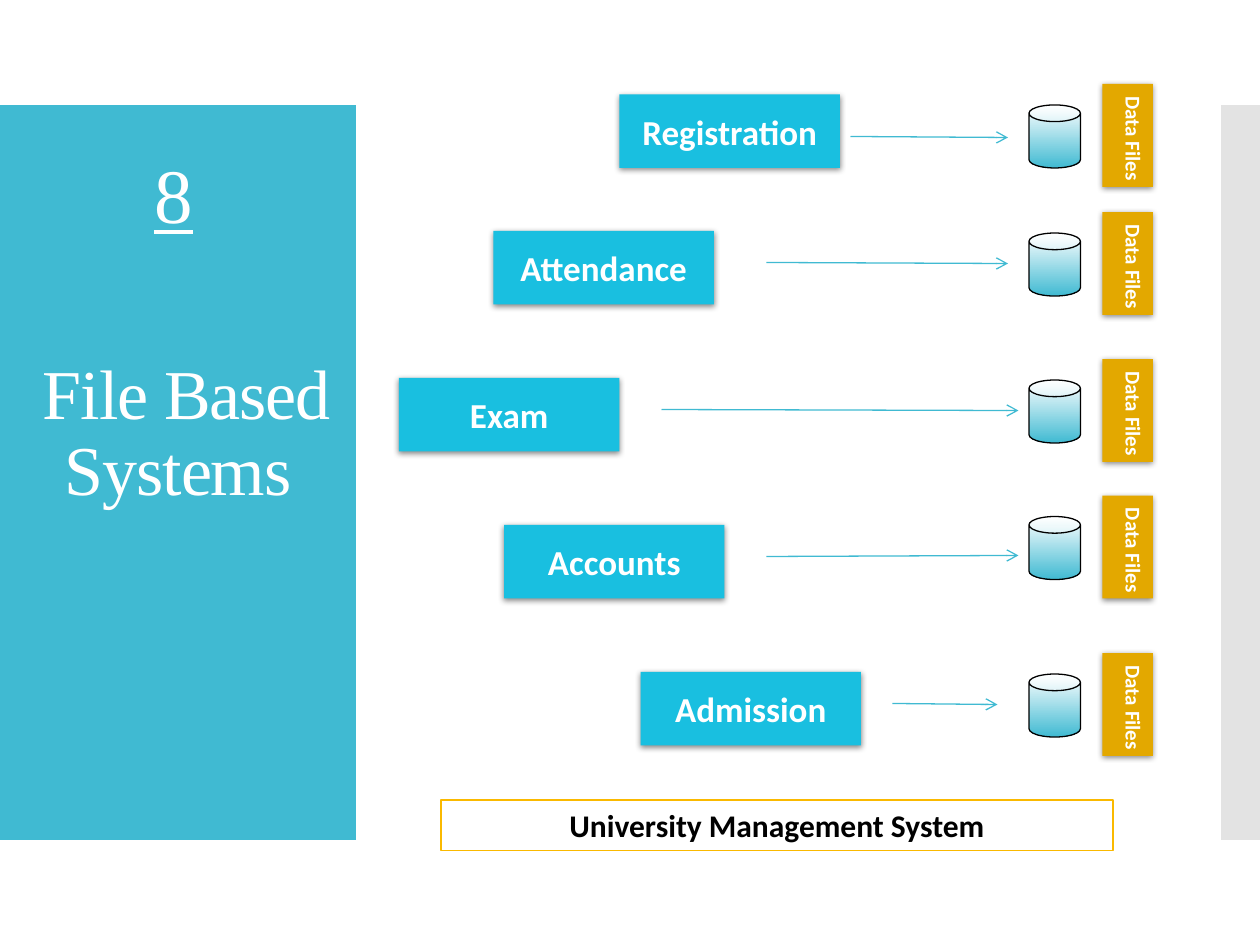
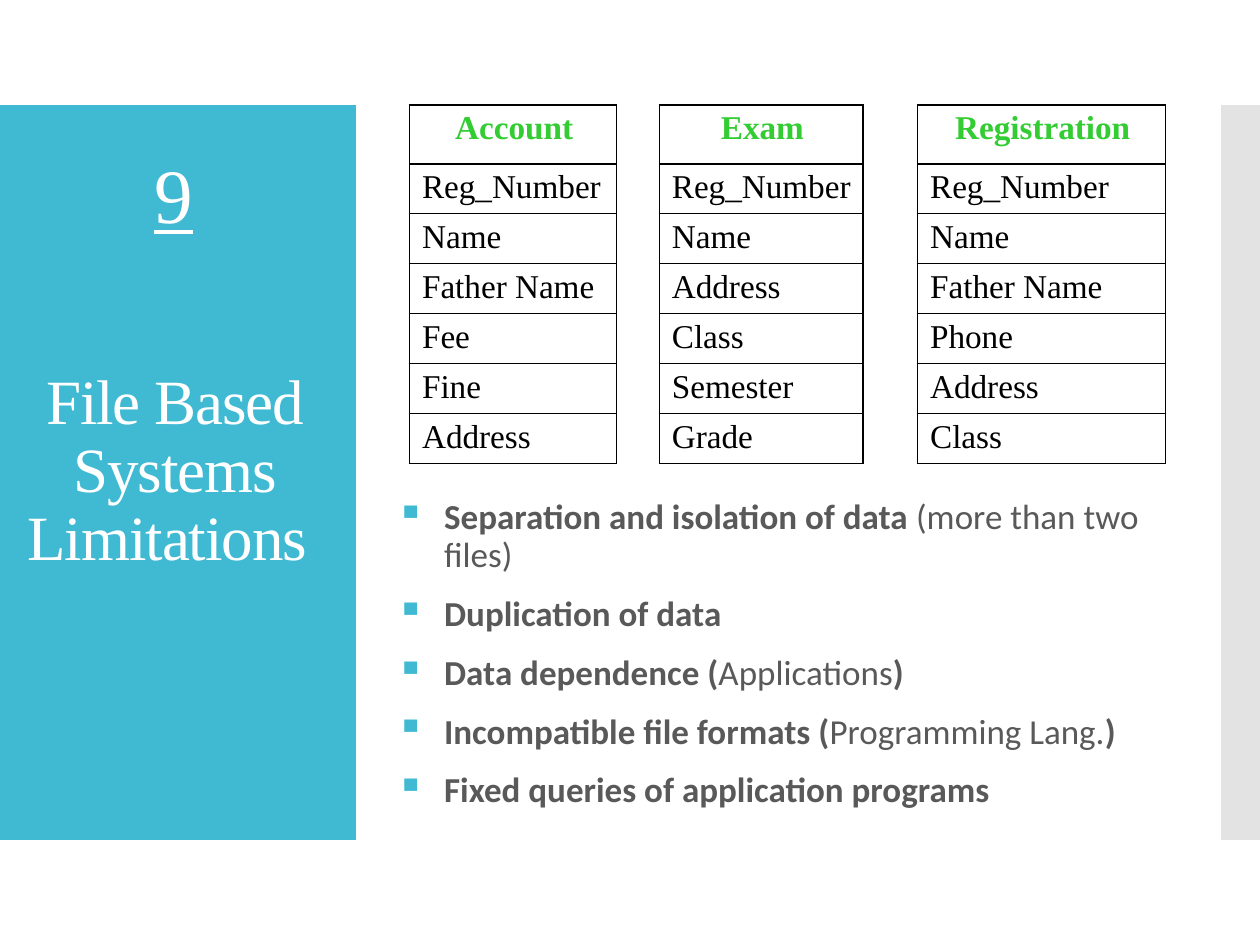
import pptx
import pptx.util
import pptx.dml.color
import pptx.enum.shapes
import pptx.enum.text
import pptx.oxml.ns
import lxml.etree

SHAPE = pptx.enum.shapes.MSO_SHAPE
ALIGN = pptx.enum.text.PP_ALIGN
ANCHOR = pptx.enum.text.MSO_ANCHOR
SERIF, SANS = "Times New Roman", "Calibri"
TEAL, CYAN, GOLD, AMBER = "40BAD2", "19BFE0", "E3A800", "FAB900"
WHITE, BLACK, GREY, PALE, GREEN = "FFFFFF", "000000", "595959", "C8C8C8", "33CC33"
COLS, ROWS, CELL = 120, 90, 1 / 12

HEADS = [
    {"no": "8", "text": "File Based Systems ", "size": 40, "at": (2.5, 11.2)},
    {"no": "9", "text": "File Based Systems Limitations ", "size": 36, "at": (1.4, 14.8)},
]

# fields: name, box left, box top, arrow start, arrow end, arrow row, slope, file top
UNITS = [
    ("Registration", 59, 9, 81, 96, 13, 0.1, 8),
    ("Attendance", 47, 22, 73, 96, 25, 0.1, 20.2),
    ("Exam", 38, 36, 63, 97, 39, 0.1, 34.2),
    ("Accounts", 48, 50, 73, 97, 53, -0.1, 47.2),
    ("Admission", 61, 64, 85, 95, 67, 0.1, 62.2),
]
LABEL = "Data Files"
SYSTEM = "University Management System"

FILES = {
    "Account": ["Reg_Number", "Name", "Father Name", "Fee", "Fine", "Address"],
    "Exam": ["Reg_Number", "Name", "Address", "Class", "Semester", "Grade"],
    "Registration": ["Reg_Number", "Name", "Father Name", "Phone", "Address", "Class"],
}
WIDTHS = [19.7, 4.1, 19.4, 5.2, 23.6]
HEIGHTS = [5.6] + [4.73] * 6

LIMITS = [
    [("Separation and isolation of data ", True), ("(more than two files)", False)],
    [("Duplication of data", True)],
    [("Data dependence (", True), ("Applications", False), (")", True)],
    [("Incompatible file formats (", True), ("Programming Lang.", False), (")", True)],
    [("Fixed queries of application programs", True)],
]


def grid(*nums):
    return [pptx.util.Inches(n * CELL) for n in nums]


def tint(code):
    return pptx.dml.color.RGBColor.from_string(code)


def node(base, tag, **attrs):
    item = lxml.etree.SubElement(base, pptx.oxml.ns.qn("a:" + tag))
    for key, val in attrs.items():
        item.set(key, str(val))
    return item


def write(para, text, size, color, font=SANS, bold=False):
    run = para.add_run()
    run.text = text
    run.font.size = pptx.util.Pt(size)
    run.font.name = font
    run.font.bold = bold
    run.font.color.rgb = tint(color)
    return run


def block(slide, at, fill, line=None, width=0.75, kind=SHAPE.RECTANGLE):
    shape = slide.shapes.add_shape(kind, *grid(*at))
    shape.shadow.inherit = False
    shape.fill.solid()
    shape.fill.fore_color.rgb = tint(fill)
    if line:
        shape.line.color.rgb = tint(line)
        shape.line.width = pptx.util.Pt(width)
    else:
        shape.line.fill.background()
    return shape


def shade(shape):
    base = shape._element.spPr.find(pptx.oxml.ns.qn("a:effectLst"))
    cast = node(base, "outerShdw", blurRad=44450, dist=13970, dir=5400000,
                algn="ctr", rotWithShape=0)
    node(node(cast, "srgbClr", val=BLACK), "alpha", val=45000)


def text_box(slide, at, anchor=ANCHOR.MIDDLE):
    frame = slide.shapes.add_textbox(*grid(*at)).text_frame
    frame.word_wrap = True
    frame.vertical_anchor = anchor
    return frame


def start(deck, head):
    slide = deck.slides.add_slide(deck.slide_layouts[6])
    block(slide, (0, 10, 33.9, 70), TEAL)
    strip = block(slide, (116.3, 10, COLS - 116.3, 70), PALE)
    color = strip._element.spPr.find(".//" + pptx.oxml.ns.qn("a:srgbClr"))
    node(color, "alpha", val=50000)
    para = text_box(slide, (*head["at"], 30.5, 60.4)).paragraphs[0]
    para.alignment = ALIGN.CENTER
    para.line_spacing = 0.9
    run = write(para, head["text"], head["size"], WHITE, SERIF)
    run._r.get_or_add_rPr().set("spc", "-60")
    para = text_box(slide, (9, 16, 15.1, 4.8)).paragraphs[0]
    para.alignment = ALIGN.CENTER
    write(para, head["no"], 44, WHITE, SERIF).font.underline = True
    return slide


def arrow(slide, left, right, row, slope):
    kind = pptx.enum.shapes.MSO_CONNECTOR.STRAIGHT
    link = slide.shapes.add_connector(kind, *grid(left, row, right, row + slope))
    link.line.color.rgb = tint(TEAL)
    link.line.width = pptx.util.Pt(0.75)
    node(link.line._get_or_add_ln(), "tailEnd", type="arrow")
    node(link._element.spPr, "effectLst")


def store(slide, top):
    card = block(slide, (105, top, 4.8, 9.8), GOLD)
    shade(card)
    frame = card.text_frame
    frame.word_wrap = False
    frame.vertical_anchor = ANCHOR.TOP
    frame._txBody.bodyPr.set("vert", "vert")
    frame.paragraphs[0].alignment = ALIGN.LEFT
    write(frame.paragraphs[0], LABEL, 12, WHITE, bold=True)
    can = block(slide, (98, top + 2, 4.9, 6), WHITE, BLACK, kind=SHAPE.CAN)
    can.adjustments[0] = 0.324
    can.fill.gradient()
    can.fill.gradient_angle = 270
    for stop, color in zip(can.fill.gradient_stops, (WHITE, TEAL)):
        stop.color.rgb = tint(color)


def draw_units(slide):
    for name, left, top, tail, tip, row, slope, file_top in UNITS:
        box = block(slide, (left, top, 21, 7), CYAN)
        shade(box)
        write(box.text_frame.paragraphs[0], name, 20, WHITE, bold=True)
        arrow(slide, tail, tip, row, slope)
        store(slide, file_top)
    bar = block(slide, (42, 76.2, 64, 4.8), WHITE, AMBER, 0.85)
    bar.text_frame.vertical_anchor = ANCHOR.TOP
    write(bar.text_frame.paragraphs[0], SYSTEM, 18, BLACK, bold=True)


def frame_cell(cell, gap):
    props = cell._tc.get_or_add_tcPr()
    for side in "LRTB":
        edge = node(props, "ln" + side, w=12700)
        if gap and side in "TB":
            node(edge, "noFill")
        else:
            node(node(edge, "solidFill"), "srgbClr", val=BLACK)
    cell.fill.background()
    cell.margin_top = cell.margin_bottom = pptx.util.Inches(0.04)
    cell.margin_right = pptx.util.Inches(0.08)


def draw_files(slide):
    size = len(HEIGHTS), len(WIDTHS)
    at = grid(39, 10, sum(WIDTHS), sum(HEIGHTS))
    table = slide.shapes.add_table(*size, *at).table
    table.first_row = table.horz_banding = False
    for col, width in zip(table.columns, grid(*WIDTHS)):
        col.width = width
    for row, height in zip(table.rows, grid(*HEIGHTS)):
        row.height = height
    lists = [[name, *parts] for name, parts in FILES.items()]
    for r in range(size[0]):
        for c in range(size[1]):
            cell = table.cell(r, c)
            gap = c % 2 == 1
            frame_cell(cell, gap)
            para = cell.text_frame.paragraphs[0]
            if gap:
                para.font.size = pptx.util.Pt(10)
                continue
            top = r == 0
            para.alignment = ALIGN.CENTER if top else ALIGN.LEFT
            write(para, lists[c // 2][r], 19, GREEN if top else BLACK, SERIF, top)


def draw_limits(slide):
    frame = text_box(slide, (35, 47, 80, 31), ANCHOR.TOP)
    for i, runs in enumerate(LIMITS):
        para = frame.add_paragraph() if i else frame.paragraphs[0]
        props = para._p.get_or_add_pPr()
        props.set("marL", str(pptx.util.Inches(0.51)))
        props.set("indent", str(pptx.util.Inches(-0.38)))
        node(node(props, "buClr"), "srgbClr", val=TEAL)
        node(props, "buSzPct", val=110000)
        node(props, "buChar", char="▪")
        para.line_spacing = 0.9
        if i:
            para.space_before = pptx.util.Pt(12)
        for text, bold in runs:
            write(para, text, 20, GREY, bold=bold)


def main():
    deck = pptx.Presentation()
    deck.slide_width, deck.slide_height = grid(COLS, ROWS)
    first, second = [start(deck, head) for head in HEADS]
    draw_units(first)
    draw_files(second)
    draw_limits(second)
    deck.save("out.pptx")


if __name__ == "__main__":
    main()
